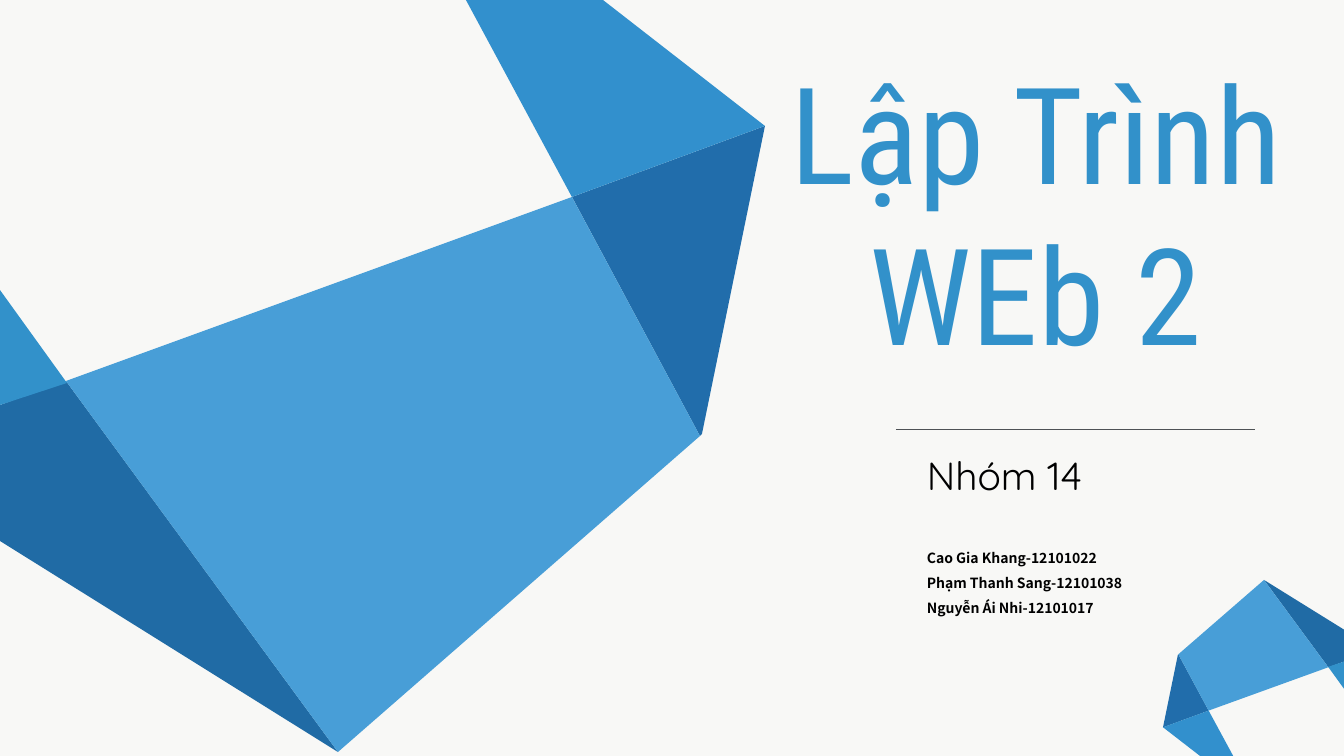
from lxml import etree
from pptx import Presentation
from pptx.dml.color import RGBColor
from pptx.enum.shapes import MSO_CONNECTOR
from pptx.enum.text import MSO_AUTO_SIZE, PP_ALIGN
from pptx.oxml.ns import qn
from pptx.util import Pt

PX = 914400 / 100.8
STRAIGHT = MSO_CONNECTOR.STRAIGHT
FIT_SHAPE = MSO_AUTO_SIZE.SHAPE_TO_FIT_TEXT
LEFT, CENTER = PP_ALIGN.LEFT, PP_ALIGN.CENTER

PAPER = RGBColor(0xF8, 0xF8, 0xF6)
NAVY = RGBColor(0x21, 0x6D, 0xAB)
DEEP = RGBColor(0x20, 0x6B, 0xA5)
BLUE = RGBColor(0x32, 0x90, 0xCD)
SKY = RGBColor(0x48, 0x9E, 0xD7)
TITLE_BLUE = RGBColor(0x32, 0x91, 0xCA)
BLACK = RGBColor(0, 0, 0)
GREY = RGBColor(0x4E, 0x52, 0x55)

RIBBON_W, RIBBON_H = 765, 752
FACETS = [
    (NAVY, [(765, 126), (702, 434), (700, 436), (572, 197)]),
    (DEEP, [(66, 381), (338, 752), (0, 541), (0, 405)]),
    (BLUE, [(466, 0), (603, 0), (765, 126), (572, 197)]),
    (SKY, [(572, 197), (700, 436), (338, 752), (66, 381)]),
    (TITLE_BLUE, [(0, 290), (67, 383), (0, 405)]),
]


def px(n):
    return round(n * PX)


def add_ribbon(slide, x, y, w, h, turned=False):
    def place(point):
        u, v = point[0] / RIBBON_W, point[1] / RIBBON_H
        if turned:
            u, v = 1 - u, 1 - v
        return px(x + u * w), px(y + v * h)

    for color, points in FACETS:
        start, *rest = map(place, points)
        fb = slide.shapes.build_freeform(*start)
        fb.add_line_segments(rest, close=True)
        sp = fb.convert_to_shape()
        sp.shadow.inherit = False
        sp.fill.solid()
        sp.fill.fore_color.rgb = color
        sp.line.fill.background()


def add_text(slide, x, y, w, h, lines, font, size, color=BLACK,
             bold=False, align=LEFT, spacing=None):
    tf = slide.shapes.add_textbox(px(x), px(y), px(w), px(h)).text_frame
    tf.word_wrap = True
    tf.auto_size = FIT_SHAPE
    tf.text = "\n".join(lines)
    for p in tf.paragraphs:
        p.alignment = align
        p.line_spacing = spacing
        p.font.name = font
        p.font.size = Pt(size)
        p.font.bold = bold
        p.font.color.rgb = color


def add_rule(slide, x, y, w):
    line = slide.shapes.add_connector(STRAIGHT, px(x), px(y), px(x + w), px(y))
    line.line.color.rgb = GREY
    line.line.width = Pt(0.5)
    etree.SubElement(line._element.spPr, qn("a:effectLst"))


def add_heading(slide, x, y, w):
    add_text(slide, x, y, w, 336, ["Lập Trình WEb 2"], "Roboto Condensed", 96,
             TITLE_BLUE, align=CENTER)


def add_team(slide, x, y, w):
    add_rule(slide, x, y, w)
    add_text(slide, x + 21, y + 17, 318, 57, ["Nhóm 14"], "Quicksand", 28)
    members = ["Cao Gia Khang-12101022", "Phạm Thanh Sang-12101038",
               "Nguyễn Ái Nhi-12101017"]
    add_text(slide, x + 21, y + 107, 307, 87, members, "Noto Sans CJK SC", 10,
             bold=True, spacing=1.5)


def build_title_slide(prs):
    slide = prs.slides.add_slide(prs.slide_layouts[6])
    slide.background.fill.solid()
    slide.background.fill.fore_color.rgb = PAPER
    add_ribbon(slide, 0, 0, RIBBON_W, RIBBON_H)
    add_ribbon(slide, 1163, 580, 181, 177, turned=True)
    add_heading(slide, 743, 45, 586)
    add_team(slide, 896, 429, 359)


def main():
    prs = Presentation()
    prs.slide_width, prs.slide_height = px(1344), px(756)
    build_title_slide(prs)
    prs.save("out.pptx")


if __name__ == "__main__":
    main()
